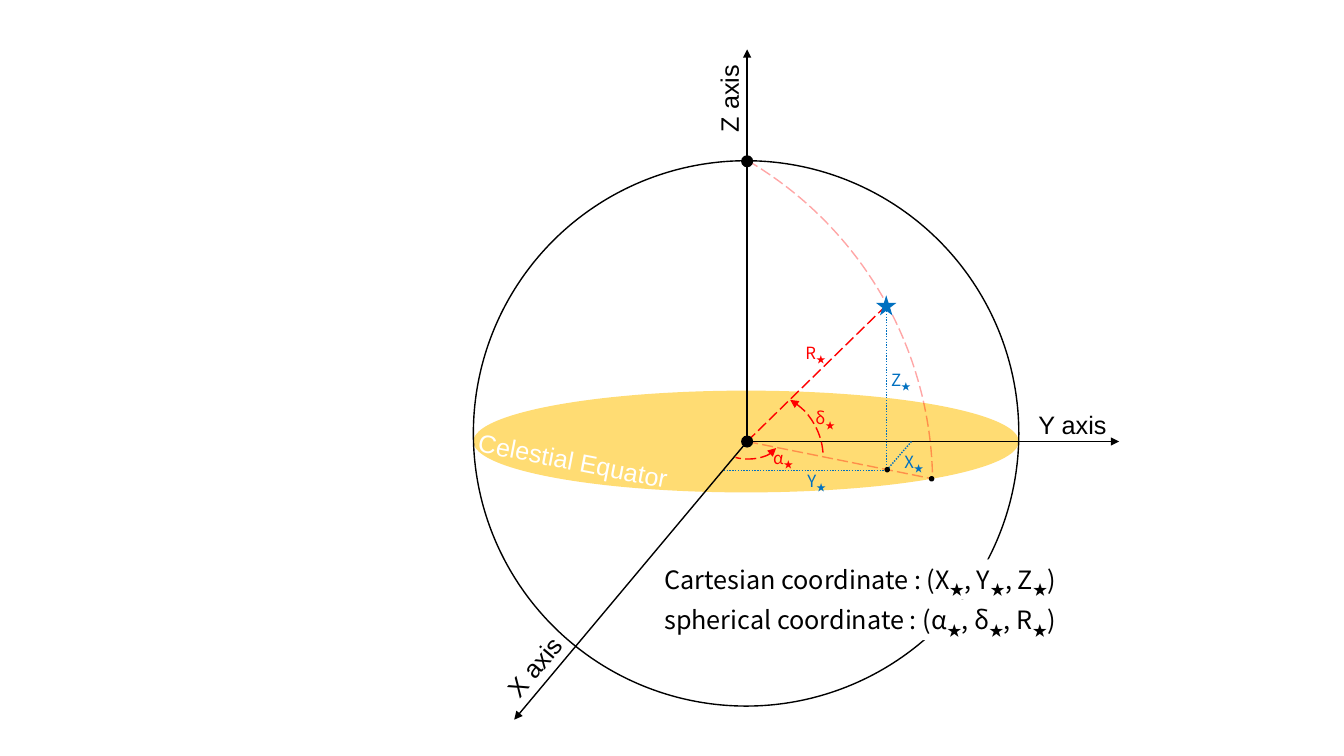
from dataclasses import dataclass
from itertools import groupby
from typing import Any, Optional

from pptx import Presentation
from pptx.dml.color import RGBColor
from pptx.enum import dml, shapes, text
from pptx.oxml import ns
from pptx.util import Inches, Pt
from lxml import etree

BLACK = RGBColor(0x00, 0x00, 0x00)
WHITE = RGBColor(0xFF, 0xFF, 0xFF)
RED = RGBColor(0xFF, 0x00, 0x00)
BLUE = RGBColor(0x00, 0x70, 0xC0)
GOLD = RGBColor(0xFF, 0xC0, 0x00)
LATIN, SYMBOL = "Arial", "Noto Sans CJK TC"
DASHED, DOTTED = dml.MSO_LINE.LONG_DASH, dml.MSO_LINE.ROUND_DOT
FORM = shapes.MSO_SHAPE
STAR = "★"


@dataclass
class Stroke:
    color: RGBColor
    dash: Optional[dml.MSO_LINE] = None
    alpha: int = 100
    arrow: Optional[str] = None


@dataclass
class Segment:
    start: tuple[float, float]
    end: tuple[float, float]
    stroke: Stroke


@dataclass
class Figure:
    form: shapes.MSO_SHAPE
    center: tuple[float, float]
    size: tuple[float, float]
    fill: Optional[RGBColor] = None
    stroke: Optional[Stroke] = None
    alpha: int = 100
    angles: tuple[float, ...] = ()


@dataclass
class Label:
    wording: str
    left: float
    top: float
    width: float
    height: float = 0.3
    color: RGBColor = BLACK
    size: int = 12
    font: str = SYMBOL
    rotation: float = 0
    fill: Optional[RGBColor] = None


def add_element(parent: Any, tag: str, **attributes: str) -> None:
    etree.SubElement(parent, ns.qn(tag), attributes)


def set_alpha(parent: Any, alpha: int) -> None:
    if alpha < 100:
        color = parent.find(ns.qn("a:solidFill"))[0]
        add_element(color, "a:alpha", val=str(alpha * 1000))


def apply_stroke(line: Any, stroke: Stroke) -> None:
    line.color.rgb = stroke.color
    line.width = Pt(1)
    if stroke.dash:
        line.dash_style = stroke.dash
    outline = line._get_or_add_ln()
    set_alpha(outline, stroke.alpha)
    if stroke.arrow:
        add_element(outline, f"a:{stroke.arrow}", type="triangle")


def draw_segment(page: Any, segment: Segment) -> None:
    points = [Inches(value) for value in segment.start + segment.end]
    connector = page.shapes.add_connector(shapes.MSO_CONNECTOR.STRAIGHT, *points)
    apply_stroke(connector.line, segment.stroke)
    add_element(connector._element.spPr, "a:effectLst")


def draw_figure(page: Any, figure: Figure) -> None:
    (x, y), (width, height) = figure.center, figure.size
    bounds = (x - width / 2, y - height / 2, width, height)
    shape = page.shapes.add_shape(figure.form, *map(Inches, bounds))
    shape.shadow.inherit = False
    for index, angle in enumerate(figure.angles):
        shape.adjustments[index] = angle * 0.6  # 60000 units per degree
    if figure.fill is None:
        shape.fill.background()
    else:
        shape.fill.solid()
        shape.fill.fore_color.rgb = figure.fill
        set_alpha(shape._element.spPr, figure.alpha)
    if figure.stroke:
        apply_stroke(shape.line, figure.stroke)
    else:
        shape.line.fill.background()


def draw_label(parent: Any, label: Label) -> None:
    bounds = map(Inches, (label.left, label.top, label.width, label.height))
    if label.fill is None:
        box = parent.shapes.add_textbox(*bounds)
    else:
        box = parent.shapes.add_shape(FORM.RECTANGLE, *bounds)
        box.shadow.inherit = False
        box.fill.solid()
        box.fill.fore_color.rgb = label.fill
        box.line.fill.background()
    box.rotation = label.rotation
    frame = box.text_frame
    frame_format = {"word_wrap": True, "vertical_anchor": text.MSO_ANCHOR.TOP,
                    "auto_size": text.MSO_AUTO_SIZE.SHAPE_TO_FIT_TEXT}
    for name, value in frame_format.items():
        setattr(frame, name, value)
    para = frame.paragraphs[0]
    para.alignment = text.PP_ALIGN.LEFT
    for is_star, letters in groupby(label.wording, lambda letter: letter == STAR):
        span = para.add_run()
        span.text = "".join(letters)
        for name, value in {"name": label.font, "size": Pt(label.size)}.items():
            setattr(span.font, name, value)
        span.font.color.rgb = label.color
        properties = span._r.get_or_add_rPr()
        add_element(properties, "a:ea", typeface=label.font)
        if is_star:
            properties.set("baseline", "-25000")


# Key points of the construction
ORIGIN, POLE = (7.41, 4.38), (7.41, 1.6)
STAR_AT, FOOT, MERIDIAN_FOOT = (8.79, 3.03), (8.79, 4.67), (9.25, 4.75)
SPHERE = (5.41, 5.41)

AXIS = Stroke(BLACK, arrow="tailEnd")
OUTLINE = Stroke(BLACK)
RADIUS = Stroke(RED, DASHED)
FAINT = Stroke(RED, DASHED, alpha=35)
ANGLE = Stroke(RED, DASHED, arrow="headEnd")
PROJECTION = Stroke(BLUE, DOTTED)
RISE = (300.52, 359.29)

BACKDROP = [
    Figure(FORM.OVAL, (7.4, 4.38), (5.41, 1.01), GOLD, alpha=55),
    Figure(FORM.ARC, (5.53, 4.8), (7.44, 7.44), stroke=FAINT, angles=RISE),
]
SEGMENTS = [
    Segment(ORIGIN, MERIDIAN_FOOT, FAINT),
    Segment(STAR_AT, FOOT, PROJECTION),
    Segment(STAR_AT, ORIGIN, RADIUS),
    Segment(ORIGIN, (7.41, 0.49), AXIS),
    Segment(ORIGIN, (11.1, 4.38), AXIS),
    Segment(ORIGIN, (5.1, 7.14), AXIS),
    Segment((7.18, 4.67), FOOT, PROJECTION),
    Segment((9.04, 4.38), FOOT, PROJECTION),
]
FIGURES = [
    Figure(FORM.OVAL, (7.4, 4.3), SPHERE, stroke=OUTLINE),
    Figure(FORM.STAR_5_POINT, STAR_AT, (0.2, 0.2), BLUE),
    *[Figure(FORM.OVAL, point, (0.12, 0.12), BLACK) for point in (ORIGIN, POLE)],
    *[Figure(FORM.OVAL, point, (0.04, 0.04), BLACK, OUTLINE)
      for point in ((8.8, 4.66), (9.24, 4.75))],
    Figure(FORM.ARC, (7.42, 4.39), (0.59, 0.33), stroke=ANGLE, angles=(11.38, 129.82)),
    Figure(FORM.ARC, (7.5, 4.54), (1.33, 1.33), stroke=ANGLE, angles=RISE),
]
LABELS = [
    Label("Z axis", 6.71, 0.69, 1.04, 0.4, size=18, font=LATIN, rotation=270),
    Label("X axis", 4.83, 6.35, 1.04, 0.4, size=18, font=LATIN, rotation=310),
    Label("Y axis", 10.2, 4.01, 1.04, 0.4, size=18, font=LATIN),
    Label("Z★", 8.74, 3.62, 0.56, color=BLUE),
    Label("Y★", 7.91, 4.62, 0.53, color=BLUE),
    Label("X★", 8.87, 4.43, 1.69, color=BLUE),
    Label("R★", 7.89, 3.35, 0.56, color=RED),
    Label("δ★", 7.99, 4, 0.56, color=RED),
    Label("α★", 7.57, 4.39, 0.56, color=RED),
]
COORDINATES = [
    Label("Cartesian coordinate : (X★, Y★, Z★)", 6.49, 5.55, 4.2, 0.4, size=18, fill=WHITE),
    Label("spherical coordinate : (α★, δ★, R★)", 6.49, 5.95, 4.42, 0.4, size=18, fill=WHITE),
]
EQUATOR = Label("Celestial Equator", 4.61, 4.62, 4.76, 0.4, WHITE, 18, LATIN, 11)


def main() -> None:
    deck = Presentation()
    deck.slide_width, deck.slide_height = Inches(13.33), Inches(7.5)
    page = deck.slides.add_slide(deck.slide_layouts[6])
    # Equator disc and meridian, then lines, then sphere and markers
    for figure in BACKDROP:
        draw_figure(page, figure)
    for segment in SEGMENTS:
        draw_segment(page, segment)
    for figure in FIGURES:
        draw_figure(page, figure)
    # Wording
    for label in LABELS:
        draw_label(page, label)
    group = page.shapes.add_group_shape()
    for label in COORDINATES:
        draw_label(group, label)
    draw_label(page, EQUATOR)
    deck.save("out.pptx")


if __name__ == "__main__":
    main()
